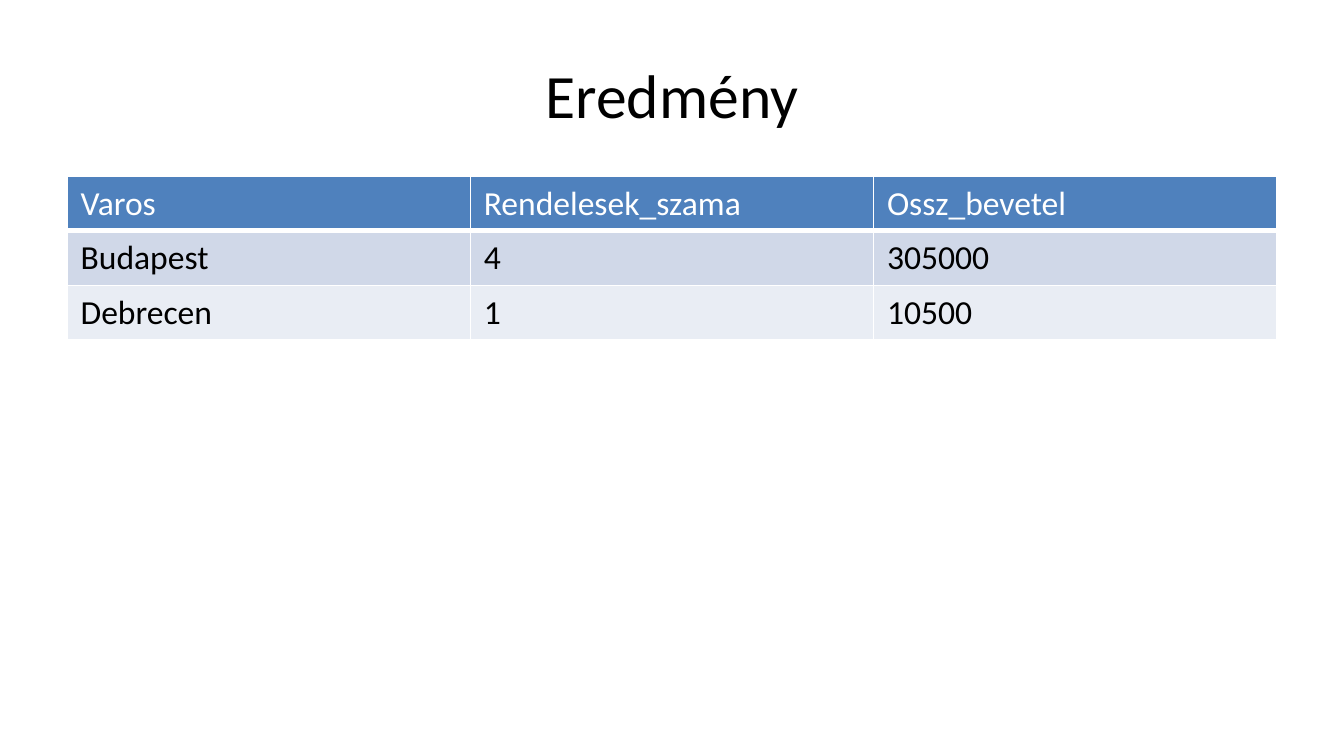
from dataclasses import dataclass

from lxml import etree
from pptx import Presentation
from pptx.dml.color import RGBColor
from pptx.enum.text import MSO_ANCHOR, PP_ALIGN
from pptx.oxml.ns import qn
from pptx.util import Pt

MIDDLE = MSO_ANCHOR.MIDDLE
CENTER, LEFT = PP_ALIGN.CENTER, PP_ALIGN.LEFT
TITLE_ONLY = 5


@dataclass(frozen=True)
class Theme:
    font: str = "Calibri"
    title_size: float = 33
    table_size: float = 18
    text: str = "000000"
    header_text: str = "FFFFFF"
    header_fill: str = "4F81BD"
    bands: tuple = ("D0D8E8", "E9EDF4")
    border: str = "FFFFFF"
    border_width: float = 1
    header_rule: float = 3


THEME = Theme()
TITLE_BOX = (36, 16.5, 648, 67.5)
TABLE_BOX = (36, 94.5, 648, 87.5)
RESULTS = [
    ("Varos", "Rendelesek_szama", "Ossz_bevetel"),
    ("Budapest", "4", "305000"),
    ("Debrecen", "1", "10500"),
]


def write(frame, text, size, color, align):
    para = frame.paragraphs[0]
    para.alignment = align
    span = para.add_run()
    span.text = text
    span.font.name = THEME.font
    span.font.size = Pt(size)
    span.font.bold = False
    span.font.color.rgb = RGBColor.from_string(color)


def set_borders(cell, bottom_width):
    """Draw all four cell borders; they must precede the fill in the XML."""
    properties = cell._tc.get_or_add_tcPr()
    for index, side in enumerate(("lnL", "lnR", "lnT", "lnB")):
        width = bottom_width if side == "lnB" else THEME.border_width
        line = etree.Element(qn(f"a:{side}"), w=str(Pt(width)))
        fill = etree.SubElement(line, qn("a:solidFill"))
        etree.SubElement(fill, qn("a:srgbClr"), val=THEME.border)
        properties.insert(index, line)


def place_title(page, box, text):
    title = page.shapes.title
    title.left, title.top, title.width, title.height = map(Pt, box)
    frame = title.text_frame
    frame.word_wrap = True
    frame.vertical_anchor = MIDDLE
    write(frame, text, THEME.title_size, THEME.text, CENTER)


def place_table(page, box, rows):
    table = page.shapes.add_table(len(rows), len(rows[0]), *map(Pt, box)).table
    for row_index, values in enumerate(rows):
        is_header = row_index == 0
        fill = THEME.header_fill if is_header else THEME.bands[(row_index - 1) % 2]
        color = THEME.header_text if is_header else THEME.text
        rule = THEME.header_rule if is_header else THEME.border_width
        for column_index, value in enumerate(values):
            cell = table.cell(row_index, column_index)
            cell.fill.solid()
            cell.fill.fore_color.rgb = RGBColor.from_string(fill)
            set_borders(cell, rule)
            write(cell.text_frame, value, THEME.table_size, color, LEFT)


def main():
    deck = Presentation()
    deck.slide_width, deck.slide_height = Pt(720), Pt(405)
    page = deck.slides.add_slide(deck.slide_layouts[TITLE_ONLY])
    place_title(page, TITLE_BOX, "Eredmény")
    place_table(page, TABLE_BOX, RESULTS)
    deck.save("out.pptx")


if __name__ == "__main__":
    main()
